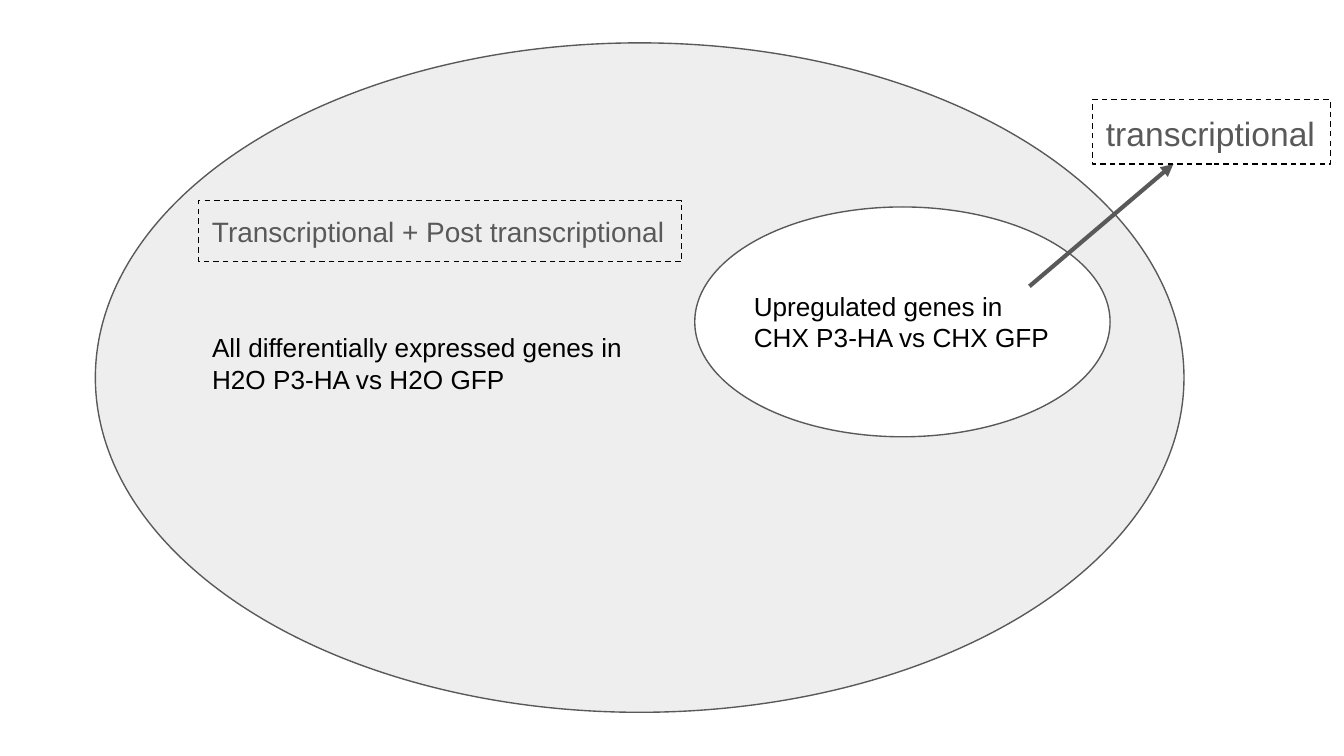
from dataclasses import dataclass

from pptx import Presentation
from pptx.dml.color import RGBColor as RGB
from pptx.enum.dml import MSO_LINE_DASH_STYLE as DASH
from pptx.enum.shapes import MSO_CONNECTOR as CONN, MSO_SHAPE as SHAPE
from pptx.enum.text import MSO_ANCHOR as ANCHOR, PP_ALIGN as ALIGN
from pptx.oxml.ns import qn
from pptx.util import Pt
from lxml.etree import SubElement


@dataclass(frozen=True)
class Theme:
    font: str = "Arial"
    black: RGB = RGB(0, 0, 0)
    gray: RGB = RGB(0x59, 0x59, 0x59)
    pale: RGB = RGB(0xEE, 0xEE, 0xEE)
    white: RGB = RGB(0xFF, 0xFF, 0xFF)
    body: float = 14
    label: float = 15
    callout: float = 18
    outline: float = 0.75
    arrow: float = 2.25
    inset: float = 7.2


THEME = Theme()


def set_attrs(obj, values):
    for name, value in values.items():
        setattr(obj, name, value)


def place(box, dx, dy, w, h):
    """Return a box offset from the top left corner of another, as lengths."""
    return [Pt(v) for v in (box[0] + dx, box[1] + dy, w, h)]


def write(sp, lines, size, color):
    tf = sp.text_frame
    margins = ("margin_left", "margin_top", "margin_right", "margin_bottom")
    set_attrs(tf, dict.fromkeys(margins, Pt(THEME.inset)))
    set_attrs(tf, {"word_wrap": True, "vertical_anchor": ANCHOR.TOP})
    for i, line in enumerate(lines):
        p = tf.paragraphs[0] if i == 0 else tf.add_paragraph()
        p.alignment = ALIGN.LEFT
        r = p.add_run()
        r.text = line
        set_attrs(r.font, {"name": THEME.font, "size": Pt(size)})
        r.font.color.rgb = color


def add_ellipse(s, box, fill):
    sp = s.shapes.add_shape(SHAPE.OVAL, *place(box, 0, 0, *box[2:]))
    sp.shadow.inherit = False
    sp.fill.solid()
    sp.fill.fore_color.rgb = fill
    sp.line.color.rgb = THEME.gray
    sp.line.width = Pt(THEME.outline)


def add_caption(s, place_at, lines):
    write(s.shapes.add_textbox(*place_at), lines, THEME.body, THEME.black)


def add_dashed_label(s, place_at, text, size):
    sp = s.shapes.add_shape(SHAPE.RECTANGLE, *place_at)
    sp.shadow.inherit = False
    sp.fill.background()
    sp.line.color.rgb = THEME.black
    set_attrs(sp.line, {"width": Pt(THEME.outline), "dash_style": DASH.DASH})
    write(sp, [text], size, THEME.gray)


def add_arrow(s, start, end):
    cx = s.shapes.add_connector(CONN.STRAIGHT, *(Pt(v) for v in start + end))
    cx.line.color.rgb = THEME.gray
    cx.line.width = Pt(THEME.arrow)
    SubElement(cx.line._get_or_add_ln(), qn("a:tailEnd"), type="triangle")
    SubElement(cx._element.spPr, qn("a:effectLst"))


def add_all_genes(s, box):
    add_ellipse(s, box, THEME.pale)
    add_caption(s, place(box, 55.4, 147.6, 236.2, 48.2),
                ["All differentially expressed genes in H2O P3-HA vs H2O GFP"])
    add_dashed_label(s, place(box, 55.4, 84.5, 258.8, 32.6),
                     "Transcriptional + Post transcriptional", THEME.label)


def add_upregulated_genes(s, box):
    add_ellipse(s, box, THEME.white)
    add_caption(s, place(box, 24.5, 37.4, 180.7, 48.2),
                ["Upregulated genes in", "CHX P3-HA vs CHX GFP"])


def add_callout(s, box, start):
    """Add the dashed callout and the arrow that reaches its lower edge."""
    x, y, w, h = box
    add_arrow(s, start, (x + 43.2, y + h))
    add_dashed_label(s, place(box, 0, 0, w, h), "transcriptional", THEME.callout)


def main():
    prs = Presentation()
    set_attrs(prs, {"slide_width": Pt(720), "slide_height": Pt(405)})
    s = prs.slides.add_slide(prs.slide_layouts[6])
    add_all_genes(s, (51.1, 23, 583.2, 358.6))
    add_upregulated_genes(s, (372.2, 110.9, 222.5, 123.1))
    add_callout(s, (585.4, 53.3, 127.4, 34.6), (551.5, 153.4))
    prs.save("out.pptx")


if __name__ == "__main__":
    main()
